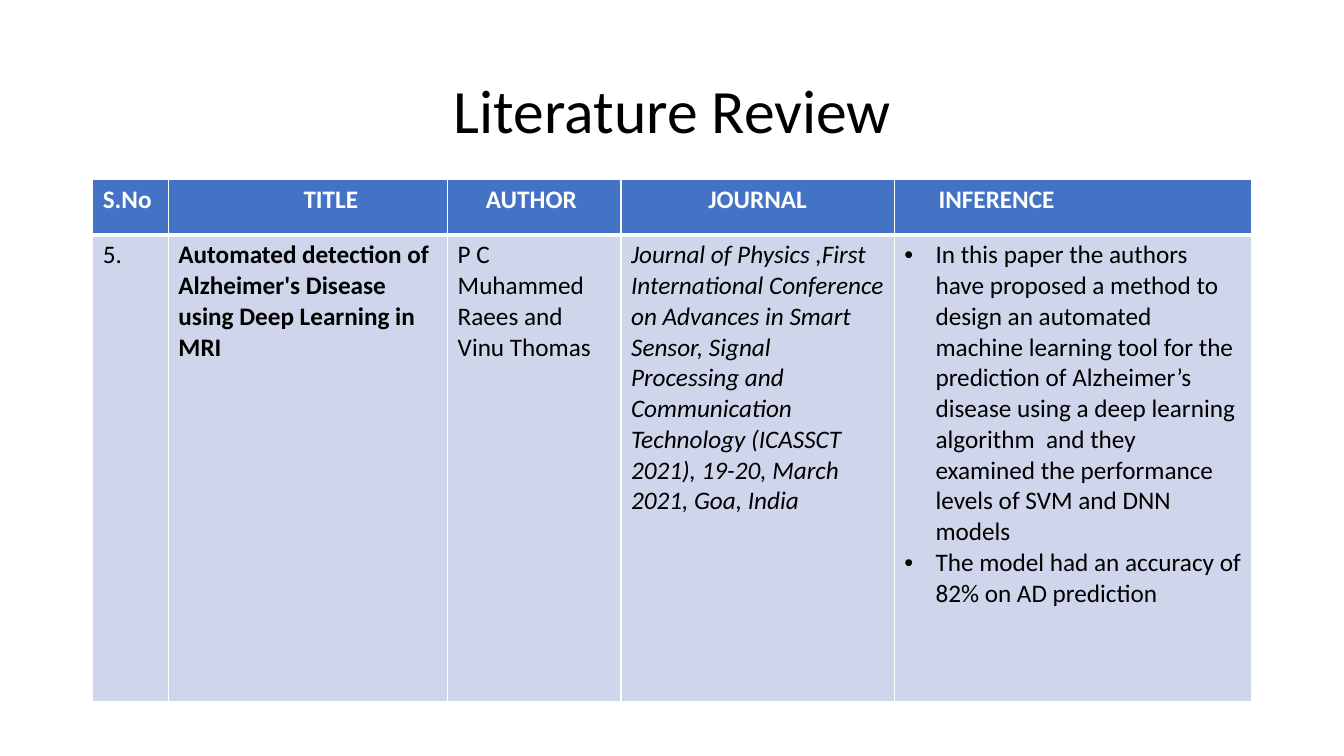
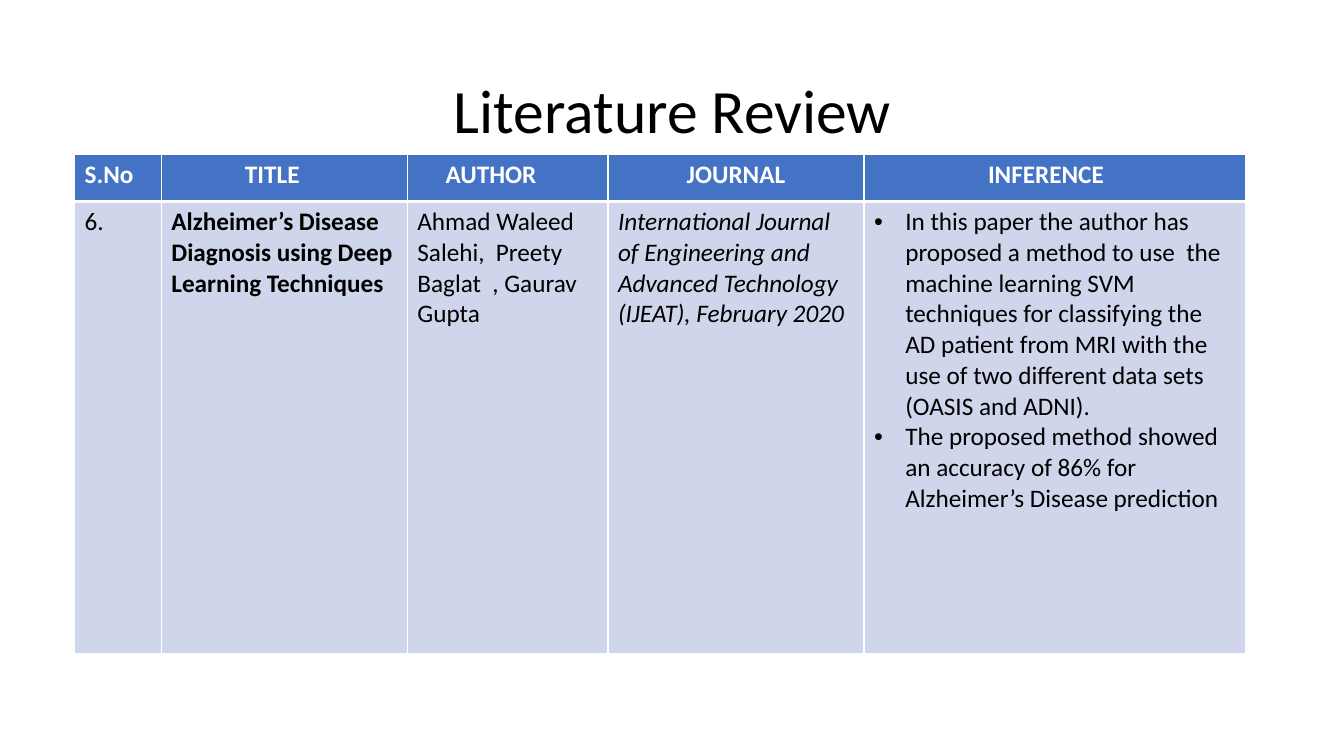
from lxml import etree
from pptx import Presentation
from pptx.dml.color import RGBColor
from pptx.enum.text import MSO_ANCHOR, PP_ALIGN
from pptx.oxml.ns import qn
from pptx.util import Pt

PX = 9144  # EMU per px, 100 px to the inch
LEFT, CENTER = PP_ALIGN.LEFT, PP_ALIGN.CENTER
MIDDLE = MSO_ANCHOR.MIDDLE

FONT = "Calibri"
BLACK, WHITE = "000000", "FFFFFF"
HEADER_FILL, BODY_FILL = "4472C4", "CFD5EA"
THIN, THICK = 1, 3
BULLET_INDENT = 31

HEADINGS = ["S.No", "TITLE", "AUTHOR", "JOURNAL", "INFERENCE"]
# Format of each body column, in the order of HEADINGS
COLUMN_STYLES = [{}, {"bold": True}, {}, {"italic": True}, {"bullet": True}]


def px(n):
    return round(n * PX)


def rgb(value):
    return RGBColor.from_string(value)


def add_text(tf, text, first=True, size=18, color=BLACK, bold=False,
             italic=False, align=LEFT, indent=0, bullet=False, spacing=None):
    """Write one paragraph into a text frame."""
    p = tf.paragraphs[0] if first else tf.add_paragraph()
    pPr = p._p.get_or_add_pPr()
    if bullet:
        pPr.set("marL", str(px(BULLET_INDENT)))
        pPr.set("indent", str(-px(BULLET_INDENT)))
        etree.SubElement(pPr, qn("a:buFont"), typeface="Arial")
        etree.SubElement(pPr, qn("a:buChar"), char="•")
    elif indent:
        pPr.set("marL", str(px(indent)))
    p.alignment = align
    if spacing:
        p.line_spacing = spacing
    r = p.add_run()
    r.text = text
    r.font.name, r.font.size = FONT, Pt(size)
    r.font.bold, r.font.italic = bold, italic
    r.font.color.rgb = rgb(color)


def set_borders(cell, top, bottom):
    """Draw white borders; they must precede the fill of the cell."""
    tcPr = cell._tc.get_or_add_tcPr()
    widths = {"lnL": THIN, "lnR": THIN, "lnT": top, "lnB": bottom}
    for tag, width in widths.items():
        ln = etree.SubElement(tcPr, qn(f"a:{tag}"), w=str(Pt(width)))
        fill = etree.SubElement(ln, qn("a:solidFill"))
        etree.SubElement(fill, qn("a:srgbClr"), val=WHITE)


class Deck:
    """Holds the shared style and the current slide."""

    def __init__(self):
        self.prs = Presentation()
        self.prs.slide_width, self.prs.slide_height = px(1333), px(750)
        self.s = None

    def add_slide(self, title):
        self.s = self.prs.slides.add_slide(self.prs.slide_layouts[6])
        self.s.background.fill.solid()
        self.s.background.fill.fore_color.rgb = rgb(WHITE)
        self.title(title)

    def title(self, text):
        sp = self.s.shapes.add_textbox(px(92), px(40), px(1150), px(145))
        tf = sp.text_frame
        tf.word_wrap = True
        tf.vertical_anchor = MIDDLE
        add_text(tf, text, size=44, align=CENTER, spacing=0.9)

    def cell(self, cell, paragraphs, fill, top=THIN, bottom=THIN, **style):
        set_borders(cell, top, bottom)
        cell.fill.solid()
        cell.fill.fore_color.rgb = rgb(fill)
        for i, text in enumerate(paragraphs):
            add_text(cell.text_frame, text, first=i == 0, **style)

    def review_table(self, left, top, widths, heights, heading_indents, entry):
        """Place a heading row and one paper; an indent of None centres."""
        frame = self.s.shapes.add_table(2, len(widths), px(left), px(top),
                                        px(sum(widths)), px(sum(heights)))
        table = frame.table
        for row, height in zip(table.rows, heights):
            row.height = px(height)
        for c, width in enumerate(widths):
            table.columns[c].width = px(width)
            indent = heading_indents[c]
            self.cell(table.cell(0, c), [HEADINGS[c]], HEADER_FILL,
                      bottom=THICK, color=WHITE, bold=True,
                      align=CENTER if indent is None else LEFT,
                      indent=indent or 0)
            self.cell(table.cell(1, c), entry[c], BODY_FILL,
                      top=THICK, **COLUMN_STYLES[c])


def main():
    deck = Deck()

    # Paper 5
    deck.add_slide("Literature Review")
    deck.review_table(
        92, 178, [75, 277, 172, 271, 354], [55, 463], [0, 124, 28, None, 34],
        [["5."],
         ["Automated detection of Alzheimer's Disease using Deep Learning in "
          "MRI"],
         ["P C Muhammed Raees and Vinu Thomas"],
         ["Journal of Physics ,First International Conference on Advances in "
          "Smart Sensor, Signal Processing and Communication Technology "
          "(ICASSCT 2021), 19-20, March 2021, Goa, India"],
         ["In this paper the authors have proposed a method to design an "
          "automated machine learning tool for the prediction of Alzheimer’s "
          "disease using a deep learning algorithm  and they examined the "
          "performance levels of SVM and DNN models",
          "The model had an accuracy of 82% on AD prediction"]])

    # Paper 6
    deck.add_slide("Literature Review")
    deck.review_table(
        74, 153, [86, 244, 199, 254, 378], [47, 448], [0, 73, 28, None, 113],
        [["6."],
         ["Alzheimer’s Disease Diagnosis using Deep", "Learning Techniques"],
         ["Ahmad Waleed Salehi,  Preety Baglat  , Gaurav Gupta"],
         ["International Journal of Engineering and Advanced Technology "
          "(IJEAT), February 2020"],
         ["In this paper the author has proposed a method to use  the machine "
          "learning SVM techniques for classifying the AD patient from MRI "
          "with the use of two different data sets (OASIS and ADNI).",
          "The proposed method showed an accuracy of 86% for Alzheimer’s "
          "Disease prediction"]])

    deck.prs.save("out.pptx")


if __name__ == "__main__":
    main()
